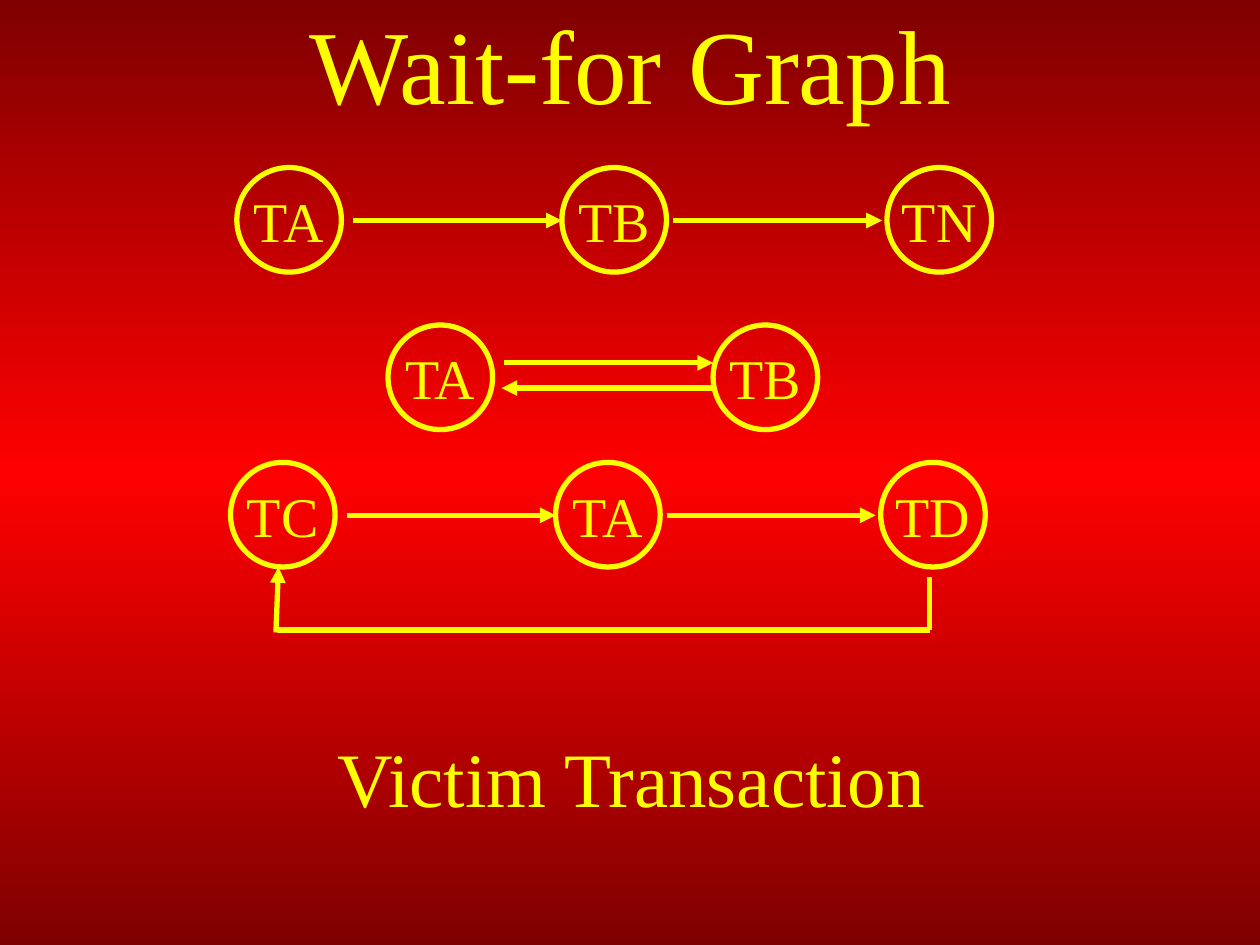
import copy
from dataclasses import dataclass

import pptx
import pptx.dml.color
import pptx.enum.shapes
import pptx.enum.text
import pptx.oxml.ns
import pptx.shapes.group
import pptx.slide
import pptx.util
from lxml import etree

Inches = pptx.util.Inches
Pt = pptx.util.Pt
qn = pptx.oxml.ns.qn
ANCHOR = pptx.enum.text.MSO_ANCHOR
ALIGN = pptx.enum.text.PP_ALIGN
AUTO_SIZE = pptx.enum.text.MSO_AUTO_SIZE

COLORS = {"ink": "FFFF00", "edge": "7F0000", "middle": "FF0000"}
FONT = "Times New Roman"
NODE_SIZE = 0.83
NODE_PITCH = 2.58


@dataclass
class Edge:
    """A line, placed relative to the left top of its graph."""
    x1: float
    y1: float
    x2: float
    y2: float
    arrow: str = "tailEnd"


@dataclass
class Graph:
    left: float
    top: float
    transactions: list[str]
    edges: list[Edge]


CHAIN = [Edge(0.92, 0.42, 2.58, 0.42), Edge(3.46, 0.42, 5.12, 0.42)]
MUTUAL_WAIT = [Edge(0.92, 0.3, 2.58, 0.3),
               Edge(0.9, 0.5, 2.57, 0.5, "headEnd")]
RETURN_WAY = [Edge(5.55, 0.91, 5.55, 1.33, ""),
              Edge(0.36, 1.35, 0.38, 0.83),
              Edge(0.38, 1.33, 5.55, 1.33, "")]

GRAPHS = [
    Graph(1.88, 1.33, ["TA", "TB", "TN"], CHAIN),
    Graph(1.83, 3.67, ["TC", "TA", "TD"], CHAIN + RETURN_WAY),
    Graph(3.08, 2.58, ["TA", "TB"], MUTUAL_WAIT),
]


def rgb(name: str) -> pptx.dml.color.RGBColor:
    return pptx.dml.color.RGBColor.from_string(COLORS[name])


def write(owner, text: str, size: float, align: ALIGN, frame_format: dict) -> None:
    frame = owner.text_frame
    for attribute, value in frame_format.items():
        setattr(frame, attribute, value)
    paragraph = frame.paragraphs[0]
    paragraph.alignment = align
    run = paragraph.add_run()
    run.text = text
    for attribute, value in {"name": FONT, "size": Pt(size)}.items():
        setattr(run.font, attribute, value)
    run.font.color.rgb = rgb("ink")


def draw_outline(line) -> None:
    line.color.rgb = rgb("ink")
    line.width = Pt(3)


def draw_node(group: pptx.shapes.group.GroupShape, left: float, top: float,
              name: str) -> None:
    node = group.shapes.add_shape(
        pptx.enum.shapes.MSO_SHAPE.OVAL, Inches(left), Inches(top),
        Inches(NODE_SIZE), Inches(NODE_SIZE))
    node.shadow.inherit = False
    node.fill.background()
    draw_outline(node.line)
    write(node, name, 32, ALIGN.CENTER,
          {"word_wrap": False, "vertical_anchor": ANCHOR.MIDDLE})


def draw_edge(group: pptx.shapes.group.GroupShape, left: float, top: float,
              edge: Edge) -> None:
    connector = group.shapes.add_connector(
        pptx.enum.shapes.MSO_CONNECTOR.STRAIGHT,
        Inches(left + edge.x1), Inches(top + edge.y1),
        Inches(left + edge.x2), Inches(top + edge.y2))
    draw_outline(connector.line)
    properties = connector._element.spPr
    if edge.arrow:
        etree.SubElement(properties.find(qn("a:ln")), qn(f"a:{edge.arrow}"),
                         type="triangle")
    etree.SubElement(properties, qn("a:effectLst"))


def draw_graph(slide: pptx.slide.Slide, graph: Graph) -> None:
    group = slide.shapes.add_group_shape()
    for index, name in enumerate(graph.transactions):
        draw_node(group, graph.left + index * NODE_PITCH, graph.top, name)
    for edge in graph.edges:
        draw_edge(group, graph.left, graph.top, edge)


def paint_background(slide: pptx.slide.Slide) -> None:
    fill = slide.background.fill
    fill.gradient()
    fill.gradient_angle = 270
    first_stop = fill.gradient_stops[0]._gs
    first_stop.addnext(copy.deepcopy(first_stop))
    for stop, position, name in zip(fill.gradient_stops, (0, 0.5, 1),
                                    ("edge", "middle", "edge")):
        stop.position = position
        stop.color.rgb = rgb(name)


def main() -> None:
    presentation = pptx.Presentation()
    presentation.slide_width = Inches(10)
    presentation.slide_height = Inches(7.5)
    slide = presentation.slides.add_slide(presentation.slide_layouts[6])
    paint_background(slide)

    # Title
    title = slide.shapes.add_textbox(Inches(0.75), Inches(0), Inches(8.5), Inches(1))
    write(title, "Wait-for Graph", 60, ALIGN.CENTER,
          {"word_wrap": True, "vertical_anchor": ANCHOR.MIDDLE})

    # Wait-for graphs
    for graph in GRAPHS:
        draw_graph(slide, graph)

    # Closing line
    victim = slide.shapes.add_textbox(Inches(2.58), Inches(5.75),
                                      Inches(4.94), Inches(0.84))
    write(victim, "Victim Transaction", 44, ALIGN.LEFT,
          {"word_wrap": False, "auto_size": AUTO_SIZE.SHAPE_TO_FIT_TEXT})

    presentation.save("out.pptx")


if __name__ == "__main__":
    main()
